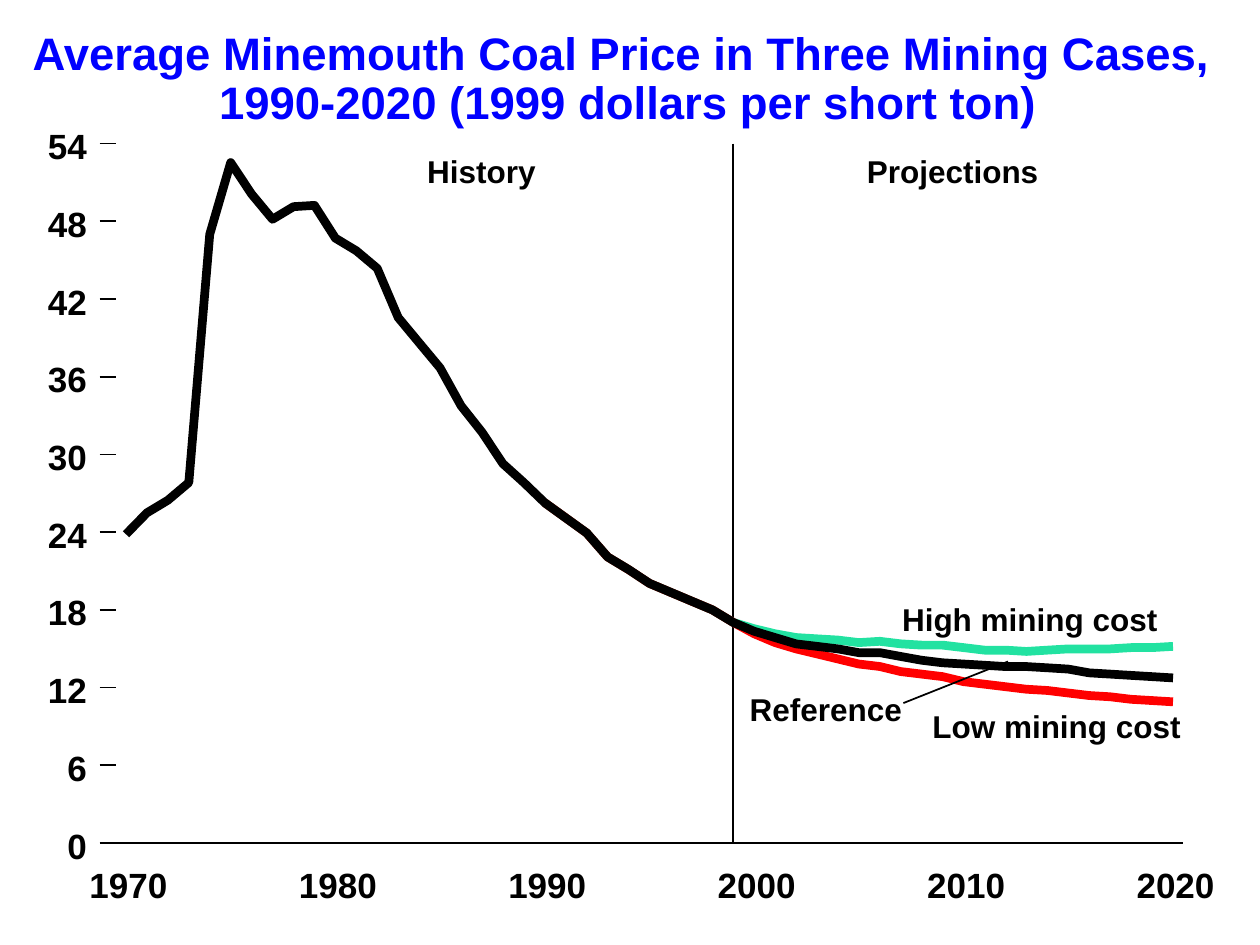
from pptx import Presentation
from pptx.dml.color import RGBColor
from pptx.enum.shapes import MSO_CONNECTOR
from pptx.enum.text import MSO_AUTO_SIZE, PP_ALIGN
from pptx.oxml.ns import qn
from pptx.util import Inches, Pt
from lxml import etree

LEFT, CENTER, RIGHT = PP_ALIGN.LEFT, PP_ALIGN.CENTER, PP_ALIGN.RIGHT
STRAIGHT = MSO_CONNECTOR.STRAIGHT
GROW = MSO_AUTO_SIZE.SHAPE_TO_FIT_TEXT
BLACK, BLUE, GREEN, RED = "000000", "0000FF", "22E2A1", "FF0000"

prs = Presentation()
prs.slide_width, prs.slide_height = Inches(10), Inches(7.5)
s = prs.slides.add_slide(prs.slide_layouts[6])


def add_text(text, x, y, w, h, size, color=BLACK, align=LEFT, spacing=None):
    tf = s.shapes.add_textbox(Inches(x), Inches(y), Inches(w), Inches(h)).text_frame
    tf.margin_left = tf.margin_right = tf.margin_top = tf.margin_bottom = 0
    tf.word_wrap = False
    tf.auto_size = GROW
    tf.text = text
    for p in tf.paragraphs:
        p.alignment = align
        p.line_spacing = spacing
        for r in p.runs:
            r.font.name = "Arial"
            r.font.size = Pt(size)
            r.font.bold = True
            r.font.color.rgb = RGBColor.from_string(color)


def add_line(x1, y1, x2, y2):
    sp = s.shapes.add_connector(STRAIGHT, Inches(x1), Inches(y1), Inches(x2), Inches(y2))
    sp.line.color.rgb = RGBColor.from_string(BLACK)
    sp.line.width = Pt(1)
    etree.SubElement(sp._element.spPr, qn("a:effectLst"))


add_text("Average Minemouth Coal Price in Three Mining Cases, \n"
         "1990-2020 (1999 dollars per short ton)",
         0.25, 0.25, 9.47, 0.78, 26, BLUE, CENTER, 0.9)

axis_left, axis_right, axis_top, axis_bottom = 0.92, 9.39, 1.14, 6.69
divider_x = 5.82
add_line(divider_x, axis_top, divider_x, axis_bottom)

first_x, year_step = 1, 8.31 / 50
history = [4.24, 4.07, 3.97, 3.83, 1.86, 1.29, 1.54, 1.74, 1.64, 1.63,
           1.89, 1.99, 2.13, 2.52, 2.72, 2.92, 3.22, 3.43, 3.68, 3.83,
           3.99, 4.11, 4.23, 4.42, 4.52, 4.63, 4.7, 4.77, 4.84, 4.94]
high = [4.99, 5.03, 5.06, 5.07, 5.08, 5.1, 5.09, 5.11, 5.12, 5.12, 5.14,
        5.16, 5.16, 5.17, 5.16, 5.15, 5.15, 5.15, 5.14, 5.14, 5.13]
low = [5.03, 5.1, 5.15, 5.19, 5.23, 5.27, 5.29, 5.33, 5.35, 5.37, 5.41,
       5.43, 5.45, 5.47, 5.48, 5.5, 5.52, 5.53, 5.55, 5.56, 5.57]
reference = [5.01, 5.06, 5.11, 5.13, 5.15, 5.18, 5.18, 5.21, 5.24, 5.26, 5.27,
             5.28, 5.29, 5.29, 5.3, 5.31, 5.34, 5.35, 5.36, 5.37, 5.38]

for start, projection, color in [(20, high, GREEN), (20, low, RED), (0, reference, BLACK)]:
    points = [(Inches(first_x + i * year_step), Inches(y))
              for i, y in enumerate(history[start:] + projection, start)]
    builder = s.shapes.build_freeform(*points[0])
    builder.add_line_segments(points[1:], close=False)
    sp = builder.convert_to_shape()
    sp.shadow.inherit = False
    sp.fill.background()
    sp.line.color.rgb = RGBColor.from_string(color)
    sp.line.width = Pt(5)

for i in range(10):
    y = axis_bottom - i * (axis_bottom - axis_top) / 9
    add_line(0.79, y, axis_left, y)
    label_w = 0.31 if i > 1 else 0.16
    add_text(str(6 * i), 0.69 - label_w, y - 0.15, label_w, 0.33, 20, align=RIGHT)
add_line(axis_left, axis_bottom, axis_right, axis_bottom)

for i in range(6):
    add_text(str(1970 + 10 * i), 0.71 + i * 10 * year_step, 6.85, 0.62, 0.33, 20)

for text, x, y, w in [("Reference", 5.95, 5.48, 1.22),
                      ("High mining cost", 7.16, 4.76, 2.03),
                      ("Low mining cost", 7.4, 5.61, 1.99),
                      ("History", 3.39, 1.21, 0.88),
                      ("Projections", 6.88, 1.21, 1.38)]:
    add_text(text, x, y, w, 0.3, 18)
add_line(7.17, 5.58, 8, 5.25)

prs.save("out.pptx")
